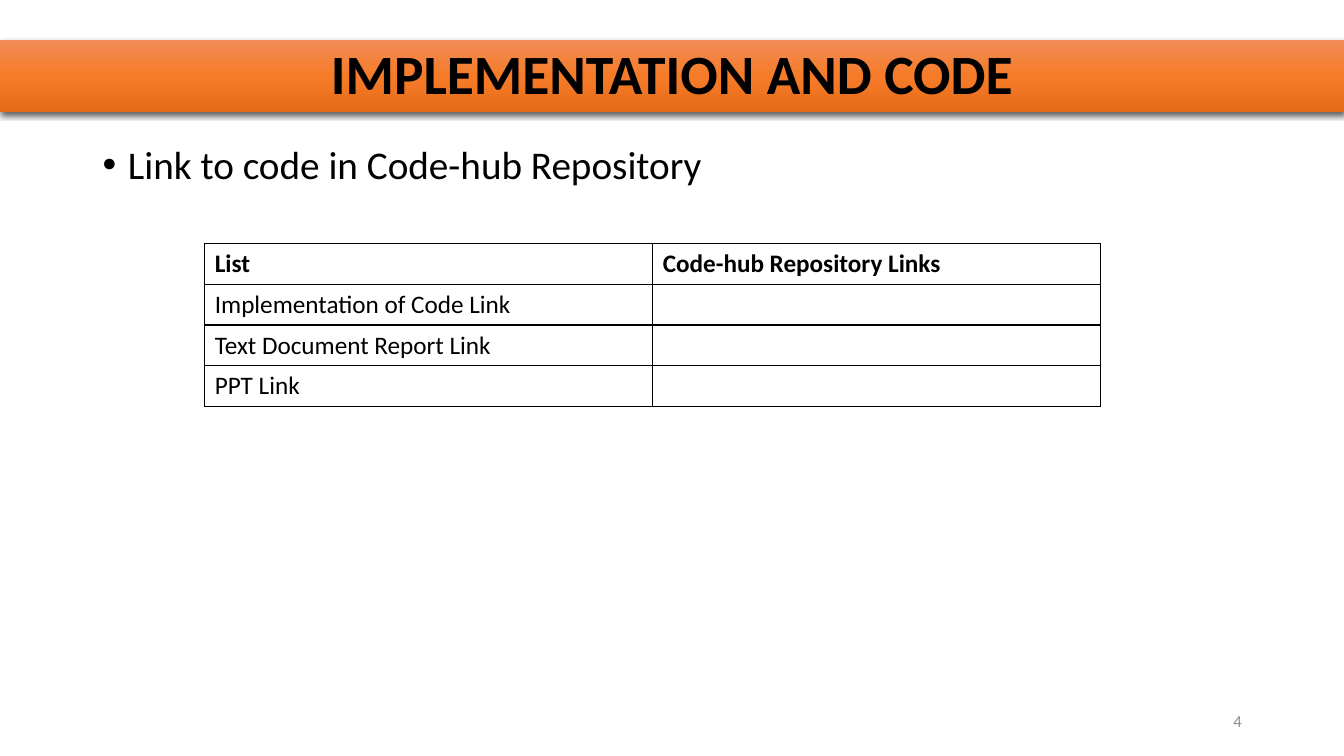
from dataclasses import dataclass
from typing import Any

from lxml.etree import SubElement
from pptx import Presentation
from pptx.dml.color import RGBColor
from pptx.enum.text import MSO_ANCHOR as Anchor, MSO_AUTO_SIZE as AutoSize, PP_ALIGN as Align
from pptx.oxml import parse_xml
from pptx.oxml.ns import nsdecls, qn
from pptx.util import Cm, Pt

COLOURS = {
    "text": "000000",
    "number": "8C8C8C",
    "border": "000000",
    "shadow": "000000",
    "banner_top": "F18C57",
    "banner_middle": "F67B28",
    "banner_bottom": "E56C19",
}
BANNER_STOPS = {0: "banner_top", 50: "banner_middle", 100: "banner_bottom"}
LINK_ROWS = [
    ("List", "Code-hub Repository Links"),
    ("Implementation of Code Link", ""),
    ("Text Document Report Link", ""),
    ("PPT Link", ""),
]


@dataclass
class TextBlock:
    """Text with its box in centimetres and its formats."""

    text: str
    box: tuple[float, float, float, float]
    font: dict[str, Any]
    paragraph: dict[str, Any]
    frame: dict[str, Any]
    colour: str = "text"


TITLE = TextBlock(
    "IMPLEMENTATION AND CODE", (0, 1.02, 33.87, 1.8),
    {"size": Pt(39.6), "bold": True},
    {"alignment": Align.CENTER, "line_spacing": 0.9},
    {"vertical_anchor": Anchor.MIDDLE},
)
BODY = TextBlock(
    "Link to code in Code-hub Repository", (2.33, 3.53, 29.21, 13.64),
    {"size": Pt(28)},
    {"alignment": Align.LEFT, "line_spacing": 0.9, "space_before": Pt(10)},
    {"vertical_anchor": Anchor.TOP},
)
NUMBER = TextBlock(
    "4", (23.93, 17.65, 7.62, 1.02),
    {"size": Pt(12)},
    {"alignment": Align.RIGHT},
    {"vertical_anchor": Anchor.MIDDLE},
    "number",
)


def set_formats(target: Any, formats: dict[str, Any]) -> None:
    """Set every format value on the target."""
    for name, value in formats.items():
        setattr(target, name, value)


def format_font(font: Any, formats: dict[str, Any], colour: str = "text") -> None:
    """Apply the typeface, colour and formats to a font."""
    set_formats(font, {"name": "Calibri", **formats})
    font.color.rgb = RGBColor.from_string(COLOURS[colour])


def write_block(shape: Any, block: TextBlock) -> None:
    """Place a shape and fill it with formatted text."""
    set_formats(shape, dict(zip(("left", "top", "width", "height"), map(Cm, block.box))))
    frame = shape.text_frame
    set_formats(frame, {"word_wrap": True, "auto_size": AutoSize.NONE, **block.frame})
    frame.text = block.text
    paragraph = frame.paragraphs[0]
    set_formats(paragraph, block.paragraph)
    format_font(paragraph.runs[0].font, block.font, block.colour)


def paint_banner(shape: Any) -> None:
    """Give the title its gradient and shadow."""
    stops = "".join(
        f'<a:gs pos="{position * 1000}"><a:srgbClr val="{COLOURS[name]}"/></a:gs>'
        for position, name in BANNER_STOPS.items()
    )
    properties = shape.fill._xPr
    properties.append(parse_xml(
        f'<a:gradFill {nsdecls("a")} rotWithShape="1"><a:gsLst>{stops}</a:gsLst>'
        '<a:lin ang="5400000" scaled="0"/></a:gradFill>'
    ))
    properties.append(parse_xml(
        f'<a:effectLst {nsdecls("a")}><a:outerShdw blurRad="{Pt(4.5)}" dist="{Pt(1.5)}" '
        f'dir="5400000" algn="ctr" rotWithShape="0"><a:srgbClr val="{COLOURS["shadow"]}">'
        '<a:alpha val="63000"/></a:srgbClr></a:outerShdw></a:effectLst>'
    ))


def add_bullet(paragraph: Any) -> None:
    """Give a paragraph a hanging round bullet."""
    properties = paragraph._p.get_or_add_pPr()
    indent = Cm(0.64)
    properties.set("marL", str(indent))
    properties.set("indent", str(-indent))
    SubElement(properties, qn("a:buFont")).set("typeface", "Arial")
    SubElement(properties, qn("a:buChar")).set("char", "•")


def add_borders(cell: Any) -> None:
    """Draw a thin line on each side of a cell."""
    properties = cell._tc.get_or_add_tcPr()
    for index, side in enumerate("LRTB"):
        properties.insert(index, parse_xml(
            f'<a:ln{side} {nsdecls("a")} w="{Pt(1)}"><a:solidFill>'
            f'<a:srgbClr val="{COLOURS["border"]}"/></a:solidFill></a:ln{side}>'
        ))


def add_link_table(slide: Any) -> None:
    """Add the bordered table of links."""
    columns = len(LINK_ROWS[0])
    table = slide.shapes.add_table(
        len(LINK_ROWS), columns, Cm(5.16), Cm(6.13), Cm(22.58), Cm(4.11)
    ).table
    set_formats(table, {"first_row": False, "horz_banding": False})
    for row, texts in enumerate(LINK_ROWS):
        for column, text in enumerate(texts):
            cell = table.cell(row, column)
            cell.text = text
            cell.fill.background()
            add_borders(cell)
            format_font(cell.text_frame.paragraphs[0].font, {"size": Pt(18)})
            for run in cell.text_frame.paragraphs[0].runs:
                format_font(run.font, {"size": Pt(18), "bold": row == 0})


def main() -> None:
    """Build and save the slide."""
    presentation = Presentation()
    set_formats(presentation, {"slide_width": Cm(33.87), "slide_height": Cm(19.05)})
    slide = presentation.slides.add_slide(presentation.slide_layouts[1])
    title, body = slide.placeholders
    write_block(title, TITLE)
    paint_banner(title)
    write_block(body, BODY)
    add_bullet(body.text_frame.paragraphs[0])
    write_block(slide.shapes.add_textbox(*map(Cm, NUMBER.box)), NUMBER)
    add_link_table(slide)
    presentation.save("out.pptx")


if __name__ == "__main__":
    main()
